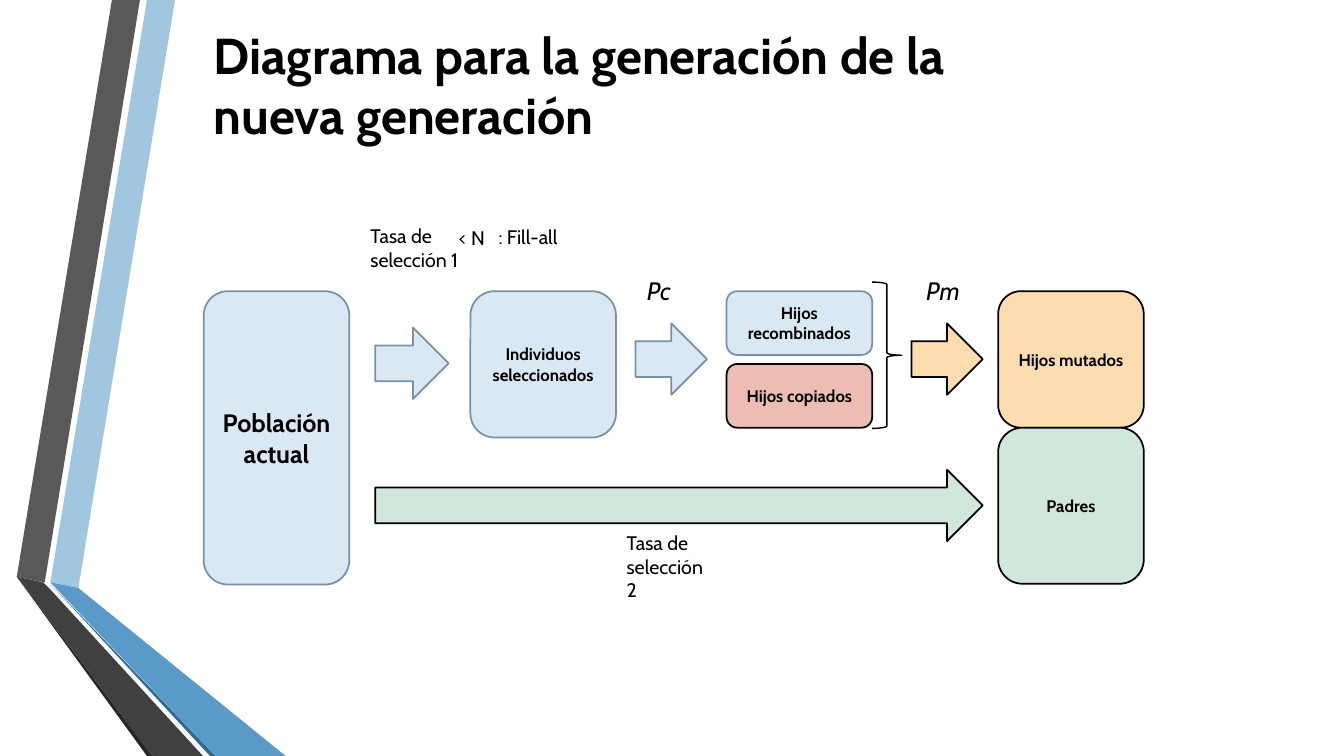
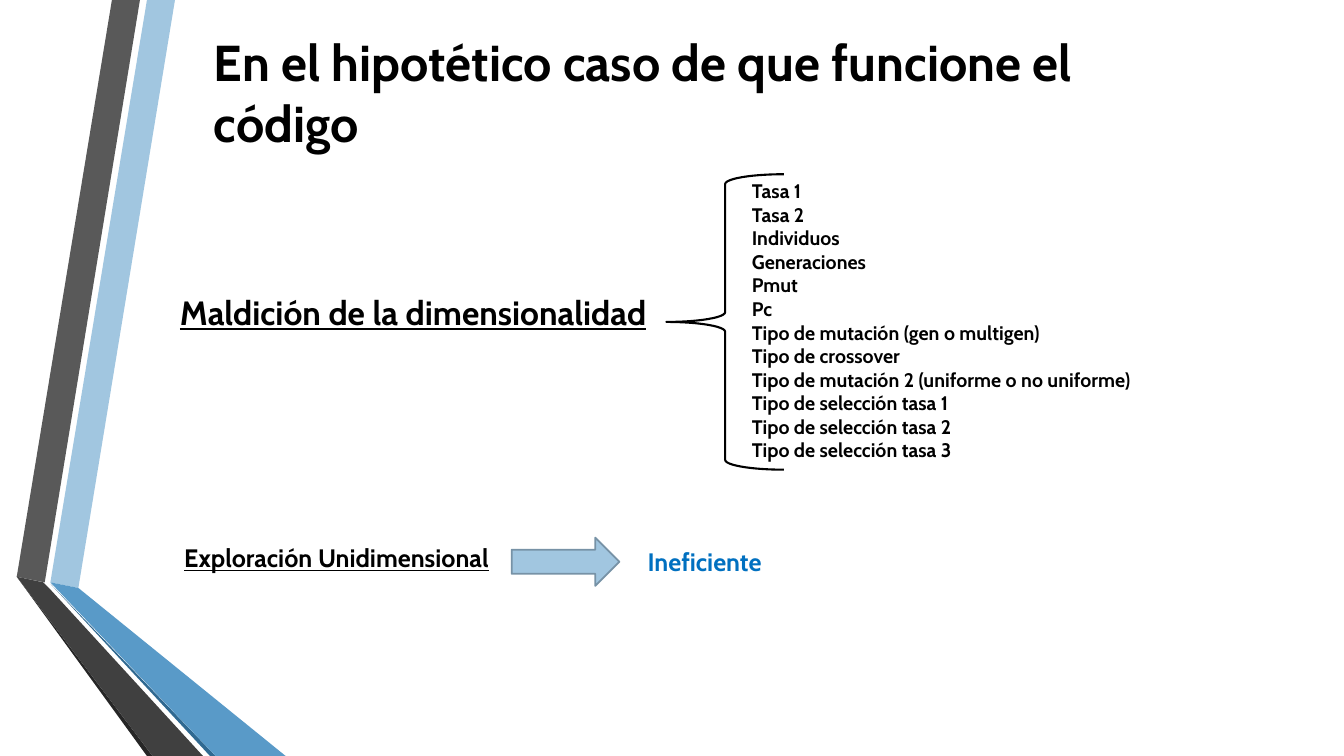
from pptx import Presentation
from pptx.dml.color import RGBColor
from pptx.enum.shapes import MSO_SHAPE
from pptx.enum.text import MSO_ANCHOR, PP_ALIGN
from pptx.util import Pt

ROUNDED = MSO_SHAPE.ROUNDED_RECTANGLE
ARROW = MSO_SHAPE.RIGHT_ARROW
LEFT_BRACE = MSO_SHAPE.LEFT_BRACE
RIGHT_BRACE = MSO_SHAPE.RIGHT_BRACE
MIDDLE = MSO_ANCHOR.MIDDLE
LEFT = PP_ALIGN.LEFT
CENTER = PP_ALIGN.CENTER

FONT = "Cabin"
BLACK = RGBColor(0x00, 0x00, 0x00)
SKY = RGBColor(0xA1, 0xC6, 0xE0)
BLUE = RGBColor(0x59, 0x9A, 0xC8)
DEEP_BLUE = RGBColor(0x30, 0x69, 0x91)
TEXT_BLUE = RGBColor(0x00, 0x70, 0xC0)
GRAY = RGBColor(0x59, 0x59, 0x59)
DARK_GRAY = RGBColor(0x40, 0x40, 0x40)
CHARCOAL = RGBColor(0x26, 0x26, 0x26)
PALE_BLUE = RGBColor(0xD9, 0xE8, 0xF3)
SLATE = RGBColor(0x77, 0x92, 0xA6)
ROSE = RGBColor(0xED, 0xBD, 0xB3)
ORANGE = RGBColor(0xFD, 0xDD, 0xB0)
GREEN = RGBColor(0xD0, 0xE7, 0xDC)

RIBBONS = [
    (SKY, [(36, 416.2), (55.6, 419.6), (124.6, 0), (104.6, 0)]),
    (GRAY, [(100, 0), (80, 0), (11.8, 412.4), (31.6, 415.6)]),
    (CHARCOAL, [(11.8, 412.4), (104.6, 540), (108.6, 540)]),
    (DEEP_BLUE, [(36, 416.6), (149.8, 540), (154.2, 540)]),
    (BLUE, [(36, 416.4), (154.2, 540), (203.8, 540), (55.6, 419.6)]),
    (DARK_GRAY, [(145.2, 540), (34.6, 419.8), (31.4, 415.6), (11.8, 412.4), (108.6, 540)]),
]


def add_block(page, kind, left, top, width, height, fill, line, text="", size=12, weight=1.25):
    block = page.shapes.add_shape(kind, Pt(left), Pt(top), Pt(width), Pt(height))
    block.shadow.inherit = False
    if fill is None:
        block.fill.background()
    else:
        block.fill.solid()
        block.fill.fore_color.rgb = fill
    block.line.color.rgb = line
    block.line.width = Pt(weight)
    if text:
        block.text_frame.word_wrap = True
        block.text_frame.vertical_anchor = MIDDLE
        para = block.text_frame.paragraphs[0]
        para.text = text
        para.alignment = CENTER
        para.font.name = FONT
        para.font.size = Pt(size)
        para.font.bold = True
        para.font.color.rgb = BLACK


def add_label(page, left, top, width, height, lines, size, color=BLACK, wrap=False,
              bold=False, italic=False, underline=False):
    box = page.shapes.add_textbox(Pt(left), Pt(top), Pt(width), Pt(height))
    frame = box.text_frame
    frame.word_wrap = wrap
    frame.text = "\n".join(lines)
    for para in frame.paragraphs:
        para.font.name = FONT
        para.font.size = Pt(size)
        para.font.bold = bold
        para.font.italic = italic
        para.font.underline = underline
        para.font.color.rgb = color


deck = Presentation()
deck.slide_width = Pt(960)
deck.slide_height = Pt(540)
layout = deck.slide_layouts[5]

pages = []
for text, top, width in [
    ("Diagrama para la generación de la nueva generación", 24, 544),
    ("En el hipotético caso de que funcione el código", 29.5, 661),
]:
    page = deck.slides.add_slide(layout)
    title = page.shapes.title
    title.left, title.top, title.width, title.height = Pt(145.5), Pt(top), Pt(width), Pt(72.5)
    title.text_frame.text = text
    title.text_frame.word_wrap = True
    title.text_frame.vertical_anchor = MIDDLE
    para = title.text_frame.paragraphs[0]
    para.alignment = LEFT
    para.font.name = FONT
    para.font.size = Pt(36)
    para.font.bold = True
    para.font.color.rgb = BLACK
    pages.append(page)
diagram, exploration = pages

for number, (color, points) in enumerate(RIBBONS):
    builder = diagram.shapes.build_freeform(*points[0], scale=Pt(1))
    builder.add_line_segments(points[1:], close=True)
    ribbon = builder.convert_to_shape()
    ribbon.shadow.inherit = False
    ribbon.fill.solid()
    ribbon.fill.fore_color.rgb = color
    ribbon.line.fill.background()
    ribbon.element.nvSpPr.cNvPr.set("id", str(100 + number))
    layout.shapes.element.append(ribbon.element)

for left, top, height, fill, line, text, size in [
    (145.5, 208, 209.5, PALE_BLUE, SLATE, "Población actual", 18),
    (336, 208, 104.5, PALE_BLUE, SLATE, "Individuos seleccionados", 12),
    (519, 208, 45.5, PALE_BLUE, SLATE, "Hijos recombinados", 12),
    (519, 260, 45.5, ROSE, BLACK, "Hijos copiados", 12),
    (713, 208, 97.5, ORANGE, BLACK, "Hijos mutados", 12),
    (713, 305.5, 111.5, GREEN, BLACK, "Padres", 12),
]:
    add_block(diagram, ROUNDED, left, top, 104, height, fill, line, text, size)

for left, top, width, fill, line in [
    (268, 234, 52.5, PALE_BLUE, SLATE),
    (454, 231, 51, PALE_BLUE, SLATE),
    (651, 231, 51, ORANGE, BLACK),
    (268, 335.5, 434, GREEN, BLACK),
]:
    add_block(diagram, ARROW, left, top, width, 51, fill, line)

add_block(diagram, RIGHT_BRACE, 623, 201.5, 21, 104.5, None, BLACK, weight=1)

for left, top, width, height, text in [
    (257.5, 156.5, 78.5, 41, "Tasa de selección 1"),
    (320.5, 157.5, 37.5, 24.5, "< N"),
    (349, 157, 78.5, 24.5, ": Fill-all"),
    (440.5, 376, 78.5, 41, "Tasa de selección 2"),
]:
    add_label(diagram, left, top, width, height, [text], 14, wrap=True)

for left, text in [(455, "Pc"), (654.5, "Pm")]:
    add_label(diagram, left, 193, 44, 29, [text], 18, wrap=True, italic=True)

parameters = [
    "Tasa 1",
    "Tasa 2",
    "Individuos",
    "Generaciones",
    "Pmut",
    "Pc",
    "Tipo de mutación (gen o multigen)",
    "Tipo de crossover",
    "Tipo de mutación 2 (uniforme o no uniforme)",
    "Tipo de selección tasa 1",
    "Tipo de selección tasa 2",
    "Tipo de selección tasa 3",
]
add_label(exploration, 121.5, 205, 349, 36, ["Maldición de la dimensionalidad"], 24,
          bold=True, underline=True)
add_block(exploration, LEFT_BRACE, 476, 124.5, 84, 211, None, BLACK, weight=1.5)
add_label(exploration, 530, 124.5, 285, 211, parameters, 14, bold=True)
add_label(exploration, 124.5, 384, 234, 29, ["Exploración Unidimensional"], 18,
          bold=True, underline=True)
add_block(exploration, ARROW, 365.5, 384, 77, 34.5, SKY, SLATE)
add_label(exploration, 455.5, 386.5, 98, 29, ["Ineficiente"], 18, TEXT_BLUE, bold=True)

deck.save("out.pptx")
